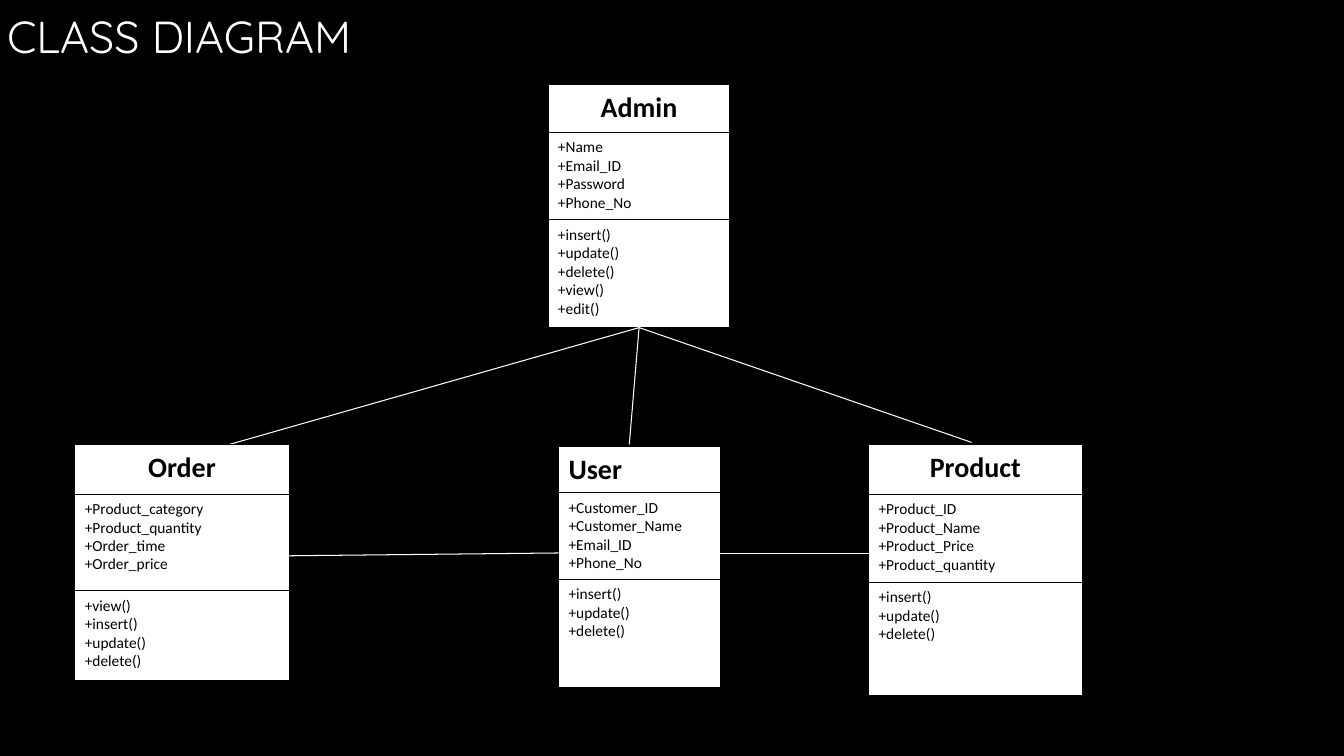
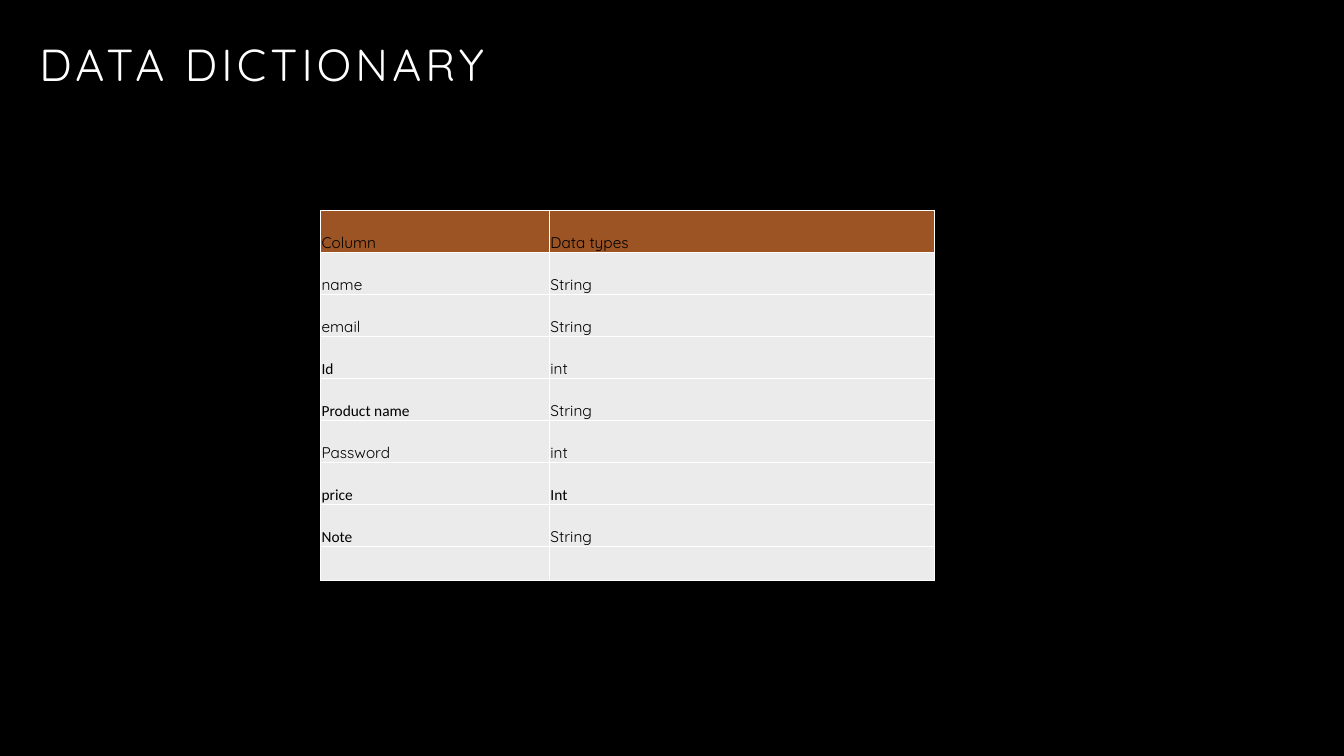
from lxml.etree import SubElement
from pptx import Presentation
from pptx.dml.color import RGBColor
from pptx.enum.shapes import MSO_CONNECTOR, MSO_SHAPE
from pptx.enum.text import MSO_ANCHOR, PP_ALIGN
from pptx.oxml.ns import qn
from pptx.util import Pt

COLORS = {
    "back": "000000",
    "ink": "000000",
    "paper": "FFFFFF",
    "head": "9D5425",
    "body": "EBEBEB",
}
SANS = "Calibri"
ROUND = "Quicksand"


class Deck:
    def __init__(self):
        self.prs = Presentation()
        self.prs.slide_width = Pt(960)
        self.prs.slide_height = Pt(540)
        self.slide = None

    def color(self, key):
        return RGBColor.from_string(COLORS[key])

    def paint(self, fill, key):
        fill.solid()
        fill.fore_color.rgb = self.color(key)

    def style(self, para, face, size, key, bold=False):
        font = para.font
        font.name, font.size, font.bold = face, Pt(size), bold
        font.color.rgb = self.color(key)

    def start(self, title, left, top, width, height, space=0):
        self.slide = self.prs.slides.add_slide(self.prs.slide_layouts[6])
        self.paint(self.slide.background.fill, "back")
        box = self.slide.shapes.add_textbox(Pt(left), Pt(top), Pt(width), Pt(height))
        frame = box.text_frame
        frame.word_wrap = True
        frame.vertical_anchor = MSO_ANCHOR.MIDDLE
        para = frame.paragraphs[0]
        run = para.add_run()
        run.text = title
        if space:
            run._r.get_or_add_rPr().set("spc", str(space * 100))
        self.style(para, ROUND, 32, "paper")

    def box(self, left, top, width, height, lines, size, bold=False, align=PP_ALIGN.LEFT):
        shape = self.slide.shapes.add_shape(
            MSO_SHAPE.RECTANGLE, Pt(left), Pt(top), Pt(width), Pt(height))
        shape.shadow.inherit = False
        self.paint(shape.fill, "paper")
        shape.line.color.rgb = self.color("ink")
        shape.line.width = Pt(0.75)
        frame = shape.text_frame
        frame.vertical_anchor = MSO_ANCHOR.TOP
        frame.text = "\n".join(lines)
        for para in frame.paragraphs:
            para.alignment = align
            self.style(para, SANS, size, "ink", bold)
        return shape

    def card(self, name, left, width, edges, fields, calls, align=PP_ALIGN.CENTER):
        top, mid, low, end = edges
        self.box(left, top, width, mid - top, [name], 20, True, align)
        self.box(left, mid, width, low - mid, fields, 11)
        return self.box(left, low, width, end - low, calls, 11)

    def link(self, start, end, source=None):
        line = self.slide.shapes.add_connector(
            MSO_CONNECTOR.STRAIGHT, *(Pt(n) for n in start + end))
        line.line.color.rgb = self.color("paper")
        line.line.width = Pt(0.75)
        SubElement(line._element.spPr, qn("a:effectLst"))
        if source is not None:
            line.begin_connect(source, 2)

    def edge(self, cell):
        props = cell._tc.get_or_add_tcPr()
        for side in "LRTB":
            line = SubElement(props, qn(f"a:ln{side}"), w=str(Pt(1)))
            fill = SubElement(line, qn("a:solidFill"))
            SubElement(fill, qn("a:srgbClr"), val=COLORS["paper"])

    def table(self, left, top, widths, heights, rows, plain):
        grid = self.slide.shapes.add_table(
            len(rows), len(widths), Pt(left), Pt(top),
            Pt(sum(widths)), Pt(sum(heights))).table
        grid.first_row = grid.horz_banding = False
        for col, width in zip(grid.columns, widths):
            col.width = Pt(width)
        for i, (row, height, words) in enumerate(zip(grid.rows, heights, rows)):
            row.height = Pt(height)
            for cell, word in zip(row.cells, words):
                self.edge(cell)
                self.paint(cell.fill, "body" if i else "head")
                cell.margin_left = cell.margin_right = cell.margin_top = Pt(0.7)
                cell.margin_bottom = 0
                cell.vertical_anchor = MSO_ANCHOR.BOTTOM
                cell.text = word
                face = SANS if word in plain else ROUND
                self.style(cell.text_frame.paragraphs[0], face, 11, "ink")


def main():
    deck = Deck()
    deck.start("CLASS DIAGRAM", -2, -10, 362, 70.5)
    admin = deck.card(
        "Admin", 391.5, 130, (60.5, 94.5, 157, 234),
        ["+Name", "+Email_ID", "+Password", "+Phone_No"],
        ["+insert()", "+update()", "+delete()", "+view()", "+edit()"])
    for end in ((162, 318), (449.5, 317.5), (694, 316)):
        deck.link((456.5, 234), end, admin)
    edits = ["+insert()", "+update()", "+delete()"]
    deck.card(
        "Product", 620.5, 152.5, (317.5, 353, 416, 497),
        ["+Product_ID", "+Product_Name", "+Product_Price", "+Product_quantity"], edits)
    deck.card(
        "User", 399, 115.5, (319, 352, 414, 491),
        ["+Customer_ID", "+Customer_Name", "+Email_ID", "+Phone_No"], edits,
        PP_ALIGN.LEFT)
    deck.card(
        "Order", 53.5, 153, (317.5, 353, 422, 486),
        ["+Product_category", "+Product_quantity", "+Order_time", "+Order_price"],
        ["+view()"] + edits)
    deck.link((206.5, 397), (399, 395))
    deck.link((514.5, 395.5), (620.5, 395.5))

    deck.start("DATA DICTIONARY", 21, 21.5, 377, 47.5, 3)
    rows = [
        ("Column", "Data types"),
        ("name", "String"),
        ("email", "String"),
        ("Id", "int"),
        ("Product name", "String"),
        ("Password", "int"),
        ("price", "Int"),
        ("Note", "String"),
        ("", ""),
    ]
    deck.table(229, 150.5, [163.5, 275], [30] * 8 + [24.5], rows,
               {"Id", "Product name", "price", "Int", "Note"})
    deck.prs.save("out.pptx")


if __name__ == "__main__":
    main()
